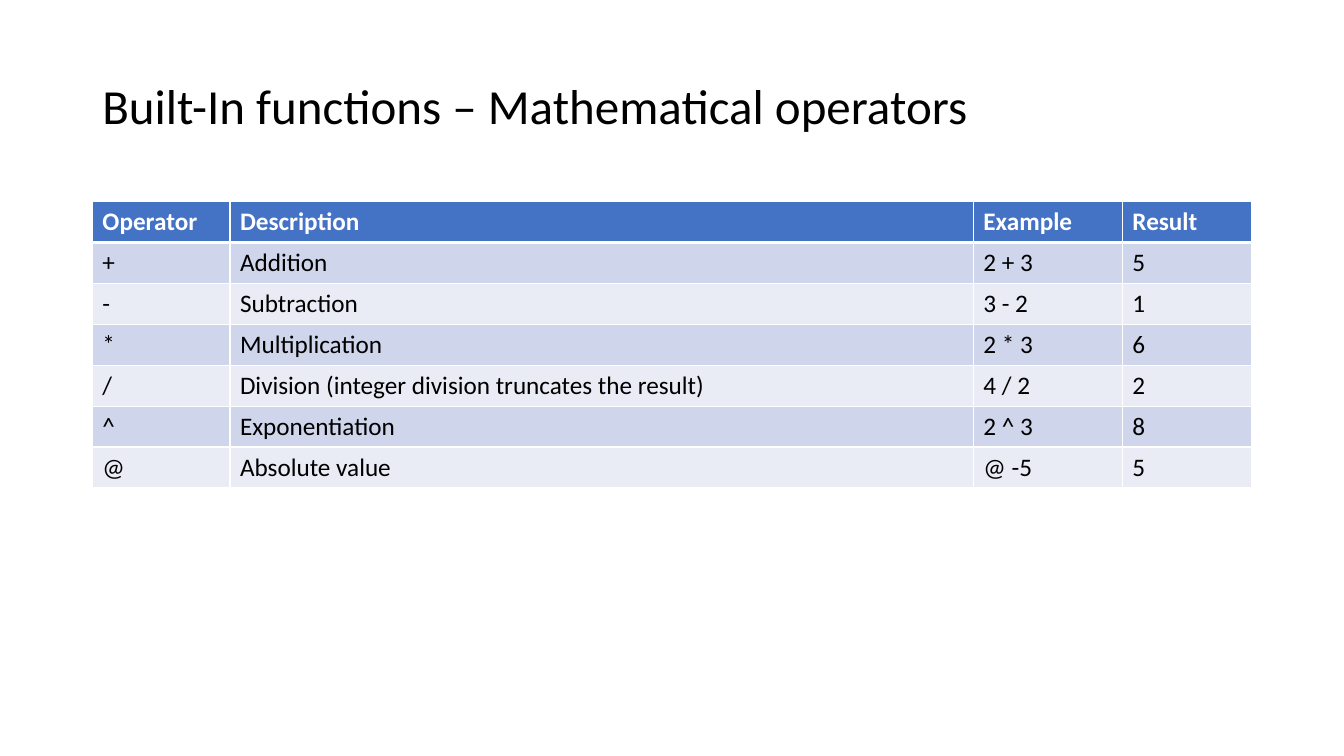
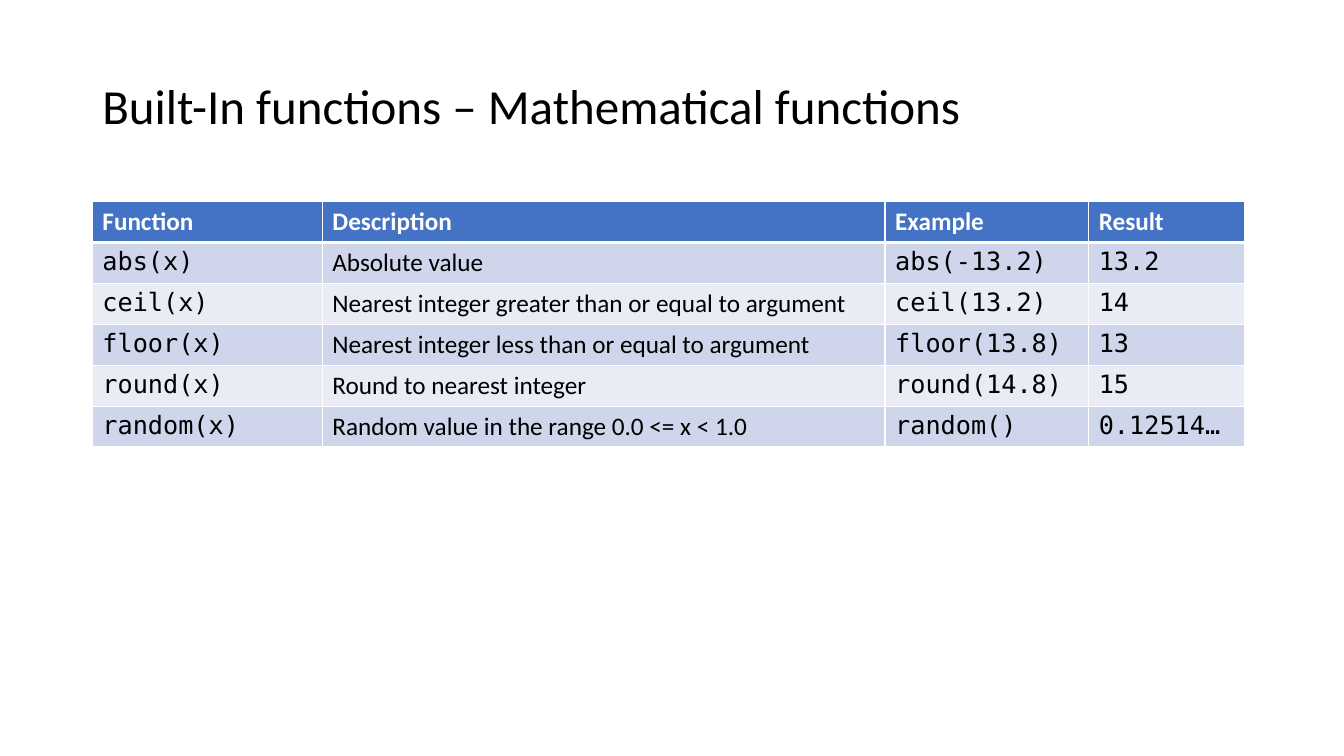
from dataclasses import dataclass
from lxml import etree
from pptx import Presentation
from pptx.dml.color import RGBColor
from pptx.enum.text import MSO_ANCHOR
from pptx.oxml.ns import qn
from pptx.util import Emu, Pt

MIDDLE = MSO_ANCHOR.MIDDLE
PX = 9525  # EMU in one px, 96 px to the inch
BLANK = 6


@dataclass(frozen=True)
class Theme:
    sans: str = "Calibri"
    mono: str = "DejaVu Sans Mono"
    black: str = "000000"
    white: str = "FFFFFF"
    head: str = "4472C4"
    bands: tuple = ("CFD5EA", "E9EBF5")
    title: int = 35
    body: int = 18
    thin: int = 1
    thick: int = 3


T = Theme()
SIZE = (1280, 720)
TITLE = (88, 71, 1104, 65)
GRID = (88, 192)
ROW = 39

# Slide contents: title, column widths, code columns, rows
SLIDES = [
    dict(
        title="Built-In functions – Mathematical operators",
        cols=(131, 708, 142, 123),
        code=(),
        rows=[
            ("Operator", "Description", "Example", "Result"),
            ("+", "Addition", "2 + 3", "5"),
            ("-", "Subtraction", "3 - 2", "1"),
            ("*", "Multiplication", "2 * 3", "6"),
            ("/", "Division (integer division truncates the result)", "4 / 2", "2"),
            ("^", "Exponentiation", "2 ^ 3", "8"),
            ("@", "Absolute value", "@ -5", "5"),
        ],
    ),
    dict(
        title="Built-In functions – Mathematical functions",
        cols=(219, 536, 194, 148),
        code=(0, 2, 3),
        rows=[
            ("Function", "Description", "Example", "Result"),
            ("abs(x)", "Absolute value", "abs(-13.2)", "13.2"),
            ("ceil(x)", "Nearest integer greater than or equal to argument",
             "ceil(13.2)", "14"),
            ("floor(x)", "Nearest integer less than or equal to argument",
             "floor(13.8)", "13"),
            ("round(x)", "Round to nearest integer", "round(14.8)", "15"),
            ("random(x)", "Random value in the range 0.0 <= x < 1.0",
             "random()", "0.12514…"),
        ],
    ),
]


def px(*nums):
    return [Emu(n * PX) for n in nums]


def write(frame, text, size, color, name=T.sans, bold=False):
    """Put one styled run into a text frame."""
    run = frame.paragraphs[0].add_run()
    run.text = text
    look = dict(name=name, size=Pt(size), bold=bold)
    for key, val in look.items():
        setattr(run.font, key, val)
    run.font.color.rgb = RGBColor.from_string(color)


def edge(cell, top, bottom):
    """Draw white borders on all four sides of a cell."""
    props = cell._tc.get_or_add_tcPr()
    sides = dict(lnL=T.thin, lnR=T.thin, lnT=top, lnB=bottom)
    for tag, width in sides.items():
        line = etree.SubElement(props, qn("a:" + tag), w=str(Pt(width)))
        fill = etree.SubElement(line, qn("a:solidFill"))
        etree.SubElement(fill, qn("a:srgbClr"), val=T.white)


def add_title(slide, box, text):
    frame = slide.shapes.add_textbox(*px(*box)).text_frame
    for key, val in dict(word_wrap=True, vertical_anchor=MIDDLE).items():
        setattr(frame, key, val)
    frame.paragraphs[0].line_spacing = 0.9
    write(frame, text, T.title, T.black)


def add_grid(slide, spot, cols, code, rows):
    box = px(*spot, sum(cols), ROW * len(rows))
    table = slide.shapes.add_table(len(rows), len(cols), *box).table
    for col, width in zip(table.columns, px(*cols)):
        col.width = width
    for r, row in enumerate(rows):
        table.rows[r].height = Emu(ROW * PX)
        head = r == 0
        fill = T.head if head else T.bands[(r - 1) % 2]
        # The thick rule runs between the header and the first band
        top = T.thick if r == 1 else T.thin
        bottom = T.thick if head else T.thin
        for c, text in enumerate(row):
            cell = table.cell(r, c)
            edge(cell, top, bottom)
            cell.fill.solid()
            cell.fill.fore_color.rgb = RGBColor.from_string(fill)
            name = T.mono if c in code and not head else T.sans
            color = T.white if head else T.black
            write(cell.text_frame, text, T.body, color, name, head)


def add_page(deck, title, cols, code, rows):
    slide = deck.slides.add_slide(deck.slide_layouts[BLANK])
    add_title(slide, TITLE, title)
    add_grid(slide, GRID, cols, code, rows)


def main():
    deck = Presentation()
    deck.slide_width, deck.slide_height = px(*SIZE)
    for page in SLIDES:
        add_page(deck, **page)
    deck.save("out.pptx")


if __name__ == "__main__":
    main()
